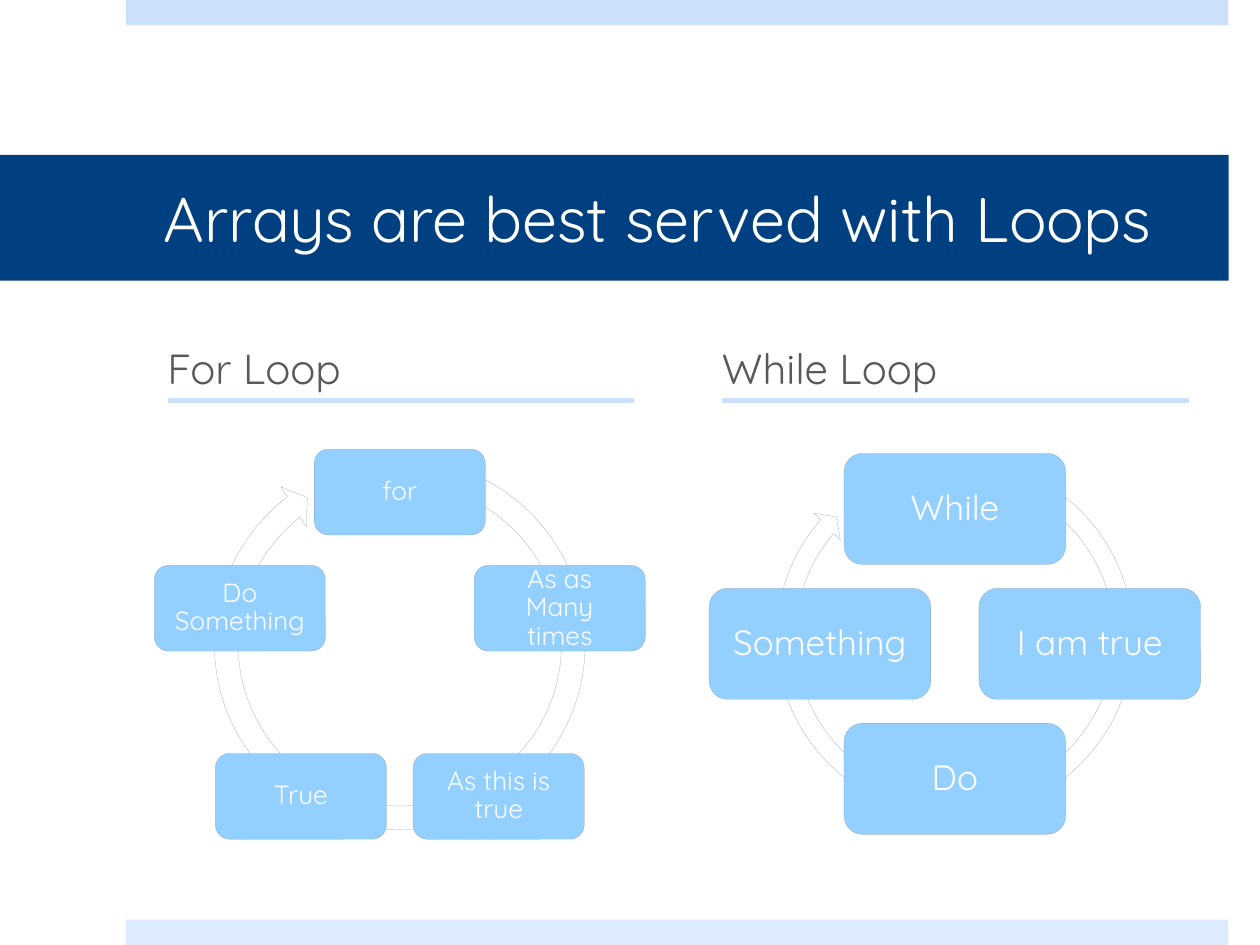
import math
from dataclasses import dataclass

from lxml import etree
from pptx import Presentation
from pptx import util as u
from pptx.dml.color import RGBColor
from pptx.enum import shapes, text
from pptx.oxml.ns import qn


@dataclass(frozen=True)
class Theme:
    """Colours, font and type sizes of the deck."""
    font: str = "Quicksand"
    navy: str = "004080"
    top_bar: str = "CDE0FB"
    bottom_bar: str = "DEEAFD"
    step: str = "93CFFF"
    outline: str = "8C9AA6"
    white: str = "FFFFFF"
    grey: str = "595959"
    title_size: int = 36
    heading_size: int = 24


@dataclass(frozen=True)
class Cycle:
    """Measures of one loop diagram, in centimetres and points."""
    steps: tuple
    centre: tuple
    radius: float
    box: tuple
    inset: float
    size: int
    ring_size: float
    ring_lift: float
    ring_form: tuple


def apply(target, formats):
    """Set every attribute named in a dict of format values."""
    for name, value in formats.items():
        setattr(target, name, value)


class SlideBuilder:
    """Draws elements on the current slide in one style."""

    def __init__(self, slide, theme):
        """Keep the slide and the theme."""
        self.slide = slide
        self.theme = theme

    def paint(self, shape, fill, line=None):
        """Give a shape a flat fill and an optional hairline."""
        shape.shadow.inherit = False
        shape.fill.solid()
        shape.fill.fore_color.rgb = RGBColor.from_string(fill)
        if line:
            shape.line.color.rgb = RGBColor.from_string(line)
            shape.line.width = u.Pt(0.1)
        else:
            shape.line.fill.background()

    def label(self, shape, words, size, colour, frame, para):
        """Put one formatted paragraph into a shape."""
        box = shape.text_frame
        apply(box, {"word_wrap": True, "auto_size": text.MSO_AUTO_SIZE.NONE, **frame})
        paragraph = box.paragraphs[0]
        apply(paragraph, para)
        span = paragraph.add_run()
        span.text = words
        apply(span.font, {"name": self.theme.font, "size": u.Pt(size), "bold": False})
        span.font.color.rgb = RGBColor.from_string(colour)

    def place(self, shape, left, top, width, height):
        """Move and size a shape, in centimetres."""
        apply(shape, {"left": u.Cm(left), "top": u.Cm(top),
                      "width": u.Cm(width), "height": u.Cm(height)})

    def bar(self, top, fill):
        """Draw a decorative band at the page edge."""
        band = self.slide.shapes.add_shape(
            shapes.MSO_SHAPE.RECTANGLE, u.Cm(2.54), u.Cm(top), u.Cm(22.22), u.Cm(0.51))
        self.paint(band, fill)

    def title(self, words):
        """Fill the title placeholder as a dark band."""
        band = self.slide.shapes.title
        self.place(band, 0, 3.12, 24.77, 2.54)
        band.fill.solid()
        band.fill.fore_color.rgb = RGBColor.from_string(self.theme.navy)
        self.label(band, words, self.theme.title_size, self.theme.white,
                   {"vertical_anchor": text.MSO_ANCHOR.MIDDLE,
                    "margin_left": u.Cm(3.3), "margin_right": u.Cm(0.76)},
                   {"alignment": text.PP_ALIGN.LEFT})

    def heading(self, index, words, left):
        """Fill a body placeholder and underline it."""
        box = self.slide.placeholders[index]
        self.place(box, left, 5.61, 9.91, 2.44)
        self.label(box, words, self.theme.heading_size, self.theme.grey,
                   {"vertical_anchor": text.MSO_ANCHOR.BOTTOM},
                   {"alignment": text.PP_ALIGN.LEFT, "space_before": u.Pt(20)})
        start = left + 0.26
        rule = self.slide.shapes.add_connector(
            shapes.MSO_CONNECTOR.STRAIGHT,
            u.Cm(start), u.Cm(8.08), u.Cm(start + 9.4), u.Cm(8.08))
        rule.line.color.rgb = RGBColor.from_string(self.theme.top_bar)
        rule.line.width = u.Pt(3)
        etree.SubElement(rule.element.spPr, qn("a:effectLst"))

    def cycle(self, plan):
        """Draw a circular arrow with boxes at equal angles."""
        group = self.slide.shapes.add_group_shape().shapes
        x, y = plan.centre
        half = plan.ring_size / 2
        ring = group.add_shape(
            shapes.MSO_SHAPE.CIRCULAR_ARROW, u.Cm(x - half),
            u.Cm(y - plan.ring_lift - half), u.Cm(plan.ring_size), u.Cm(plan.ring_size))
        for index, value in enumerate(plan.ring_form):
            ring.adjustments[index] = value
        self.paint(ring, self.theme.white, self.theme.outline)

        width, height = plan.box
        margins = {f"margin_{side}": u.Cm(plan.inset)
                   for side in ("left", "right", "top", "bottom")}
        for index, words in enumerate(plan.steps):
            angle = math.tau * index / len(plan.steps)
            left = x + plan.radius * math.sin(angle) - width / 2
            top = y - plan.radius * math.cos(angle) - height / 2
            box = group.add_shape(shapes.MSO_SHAPE.ROUNDED_RECTANGLE,
                                  u.Cm(left), u.Cm(top), u.Cm(width), u.Cm(height))
            self.paint(box, self.theme.step, self.theme.outline)
            self.label(box, words, plan.size, self.theme.white,
                       {"vertical_anchor": text.MSO_ANCHOR.MIDDLE, **margins},
                       {"alignment": text.PP_ALIGN.CENTER, "line_spacing": 0.9})

    def remove_empty(self):
        """Remove the placeholders that hold no text."""
        for holder in list(self.slide.placeholders):
            if not holder.text_frame.text:
                holder.element.getparent().remove(holder.element)


FOR_CYCLE = Cycle(
    steps=("for", "As as Many times", "As this is true", "True", "Do Something"),
    centre=(8.06, 13.31), radius=3.39, box=(3.45, 1.73), inset=0.24, size=15,
    ring_size=7.95, ring_lift=0.32, ring_form=(0.06, 3.31, 139.38, 172.88, 0.06))
WHILE_CYCLE = Cycle(
    steps=("While", "I am true", "Do", "Something"),
    centre=(19.25, 12.98), radius=2.72, box=(4.47, 2.24), inset=0.31, size=20,
    ring_size=7.57, ring_lift=0.13, ring_form=(0.05, 2.73, 132.56, 177.48, 0.05))


def main():
    """Build the slide and save the deck."""
    deck = Presentation()
    apply(deck, {"slide_width": u.Cm(25.4), "slide_height": u.Cm(19.05)})
    theme = Theme()
    page = SlideBuilder(deck.slides.add_slide(deck.slide_layouts[4]), theme)
    page.bar(0, theme.top_bar)
    page.bar(18.54, theme.bottom_bar)
    page.title("Arrays are best served with Loops")
    page.heading(1, "For Loop", 3.12)
    page.cycle(FOR_CYCLE)
    page.heading(3, "While Loop", 14.3)
    page.cycle(WHILE_CYCLE)
    page.remove_empty()
    deck.save("out.pptx")


main()
